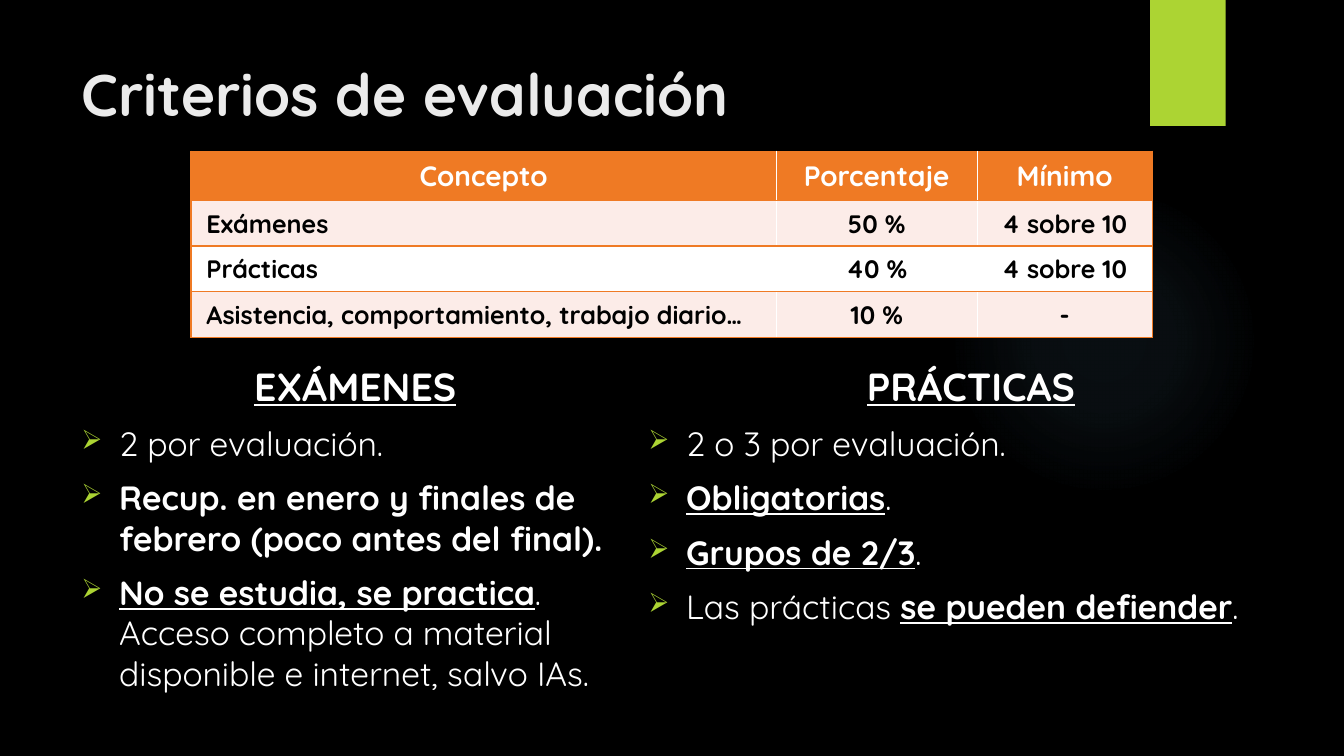
from lxml import etree
from pptx import Presentation
from pptx.dml.color import RGBColor
from pptx.enum.shapes import MSO_SHAPE
from pptx.enum.text import MSO_ANCHOR, PP_ALIGN
from pptx.oxml import parse_xml
from pptx.oxml.ns import nsdecls, qn
from pptx.util import Pt

RECT, OVAL = MSO_SHAPE.RECTANGLE, MSO_SHAPE.OVAL
TOP, MIDDLE = MSO_ANCHOR.TOP, MSO_ANCHOR.MIDDLE
LEFT, CENTER = PP_ALIGN.LEFT, PP_ALIGN.CENTER
FONT = "Quicksand"
COLORS = {
    "black": "000000", "white": "FFFFFF", "title": "EBEBEB", "green": "ACD433",
    "orange": "EF7A24", "band": "FCECE8", "glow": "7AC4F0",
}

COLUMN_WIDTHS = [418, 143.5, 125]
ROW_HEIGHTS = [32.5, 30, 30, 32.5]
CRITERIA = [
    ["Concepto", "Porcentaje", "Mínimo"],
    ["Exámenes", "50 %", "4 sobre 10"],
    ["Prácticas", "40 %", "4 sobre 10"],
    ["Asistencia, comportamiento, trabajo diario…", "10 %", "-"],
]

# Each bullet is a list of runs: text, bold, underline
EXAMS = [
    [("2 por evaluación.", False, False)],
    [("Recup. en enero y finales de febrero (poco antes del final).", True, False)],
    [("No se estudia, se practica", True, True),
     (". Acceso completo a material disponible e internet, salvo IAs.", False, False)],
]
PRACTICALS = [
    [("2 o 3 por evaluación.", False, False)],
    [("Obligatorias", True, True), (".", False, False)],
    [("Grupos de 2/3", True, True), (".", False, False)],
    [("Las prácticas ", False, False), ("se pueden defiender", True, True),
     (".", False, False)],
]


def rgb(name):
    return RGBColor.from_string(COLORS[name])


def add_run(p, text, size, color, bold=True, underline=False):
    r = p.add_run()
    r.text = text
    r.font.name, r.font.size = FONT, Pt(size)
    r.font.bold, r.font.underline = bold, underline
    r.font.color.rgb = rgb(color)


def add_block(s, kind, x, y, w, h):
    sp = s.shapes.add_shape(kind, Pt(x), Pt(y), Pt(w), Pt(h))
    sp.shadow.inherit = False
    sp.fill.solid()
    sp.fill.fore_color.rgb = rgb("green")
    sp.line.fill.background()
    return sp


def add_glow(s, x, y, size):
    sp = add_block(s, OVAL, x, y, size, size)
    stops = "".join(
        f'<a:gs pos="{pos * 1000}"><a:srgbClr val="{COLORS["glow"]}">'
        f'<a:alpha val="{alpha * 1000}"/></a:srgbClr></a:gs>'
        for pos, alpha in [(0, 7), (36, 6), (69, 0)])
    gradient = parse_xml(
        f'<a:gradFill {nsdecls("a")}><a:gsLst>{stops}</a:gsLst><a:path path="circle">'
        '<a:fillToRect l="50000" t="50000" r="50000" b="50000"/></a:path></a:gradFill>')
    solid = sp._element.spPr.find(qn("a:solidFill"))
    solid.getparent().replace(solid, gradient)


def add_text_box(s, x, y, w, h, anchor=TOP):
    tf = s.shapes.add_textbox(Pt(x), Pt(y), Pt(w), Pt(h)).text_frame
    tf.word_wrap = True
    tf.vertical_anchor = anchor
    return tf


def set_bullet(p):
    pPr = p._p.get_or_add_pPr()
    pPr.set("marL", str(Pt(27)))
    pPr.set("indent", str(Pt(-27)))
    color = etree.SubElement(pPr, qn("a:buClr"))
    etree.SubElement(color, qn("a:srgbClr"), val=COLORS["green"])
    etree.SubElement(pPr, qn("a:buSzPct"), val="80000")
    etree.SubElement(pPr, qn("a:buChar"), char="➢")


def add_bullet_list(s, x, y, w, h, heading, bullets):
    tf = add_text_box(s, x, y, w, h)
    p = tf.paragraphs[0]
    p.alignment = CENTER
    p.space_before = Pt(10)
    add_run(p, heading, 28, "white", underline=True)
    for runs in bullets:
        p = tf.add_paragraph()
        p.space_before = Pt(10)
        set_bullet(p)
        for text, bold, underline in runs:
            add_run(p, text, 24, "white", bold, underline)


def set_borders(cell, sides):
    tcPr = cell._tc.get_or_add_tcPr()
    for i, side in enumerate(sides):
        tcPr.insert(i, parse_xml(
            f'<a:{side} {nsdecls("a")} w="{Pt(1)}"><a:solidFill>'
            f'<a:srgbClr val="{COLORS["orange"]}"/></a:solidFill></a:{side}>'))


def add_criteria_table(s, x, y):
    table = s.shapes.add_table(len(CRITERIA), len(COLUMN_WIDTHS), Pt(x), Pt(y),
                               Pt(sum(COLUMN_WIDTHS)), Pt(sum(ROW_HEIGHTS))).table
    for column, width in zip(table.columns, COLUMN_WIDTHS):
        column.width = Pt(width)
    for row, height in zip(table.rows, ROW_HEIGHTS):
        row.height = Pt(height)
    outer_sides = {0: ["lnL"], len(COLUMN_WIDTHS) - 1: ["lnR"]}
    for i, texts in enumerate(CRITERIA):
        fill = "orange" if i == 0 else "band" if i % 2 else "white"
        size, color = (20, "white") if i == 0 else (18, "black")
        for j, text in enumerate(texts):
            cell = table.cell(i, j)
            cell.fill.solid()
            cell.fill.fore_color.rgb = rgb(fill)
            cell.vertical_anchor = MIDDLE
            cell.margin_left = cell.margin_right = Pt(11)
            cell.margin_top = cell.margin_bottom = Pt(5.5)
            p = cell.text_frame.paragraphs[0]
            p.alignment = LEFT if i and j == 0 else CENTER
            add_run(p, text, size, color)
            set_borders(cell, outer_sides.get(j, []) + ["lnT", "lnB"])


def main():
    prs = Presentation()
    prs.slide_width, prs.slide_height = Pt(960), Pt(540)
    s = prs.slides.add_slide(prs.slide_layouts[6])
    s.background.fill.solid()
    s.background.fill.fore_color.rgb = rgb("black")

    # Backdrop
    add_glow(s, 677.5, 132, 222)
    add_block(s, RECT, 821.5, 0, 54, 90)

    # Title
    tf = add_text_box(s, 51, 36, 510.5, 61, MIDDLE)
    add_run(tf.paragraphs[0], "Criterios de evaluación", 42, "title")

    # Criteria and the two lists
    add_criteria_table(s, 136.5, 108)
    add_bullet_list(s, 51, 255, 405.5, 256, "EXÁMENES", EXAMS)
    add_bullet_list(s, 456, 255, 475, 225, "PRÁCTICAS", PRACTICALS)

    prs.save("out.pptx")


if __name__ == "__main__":
    main()
